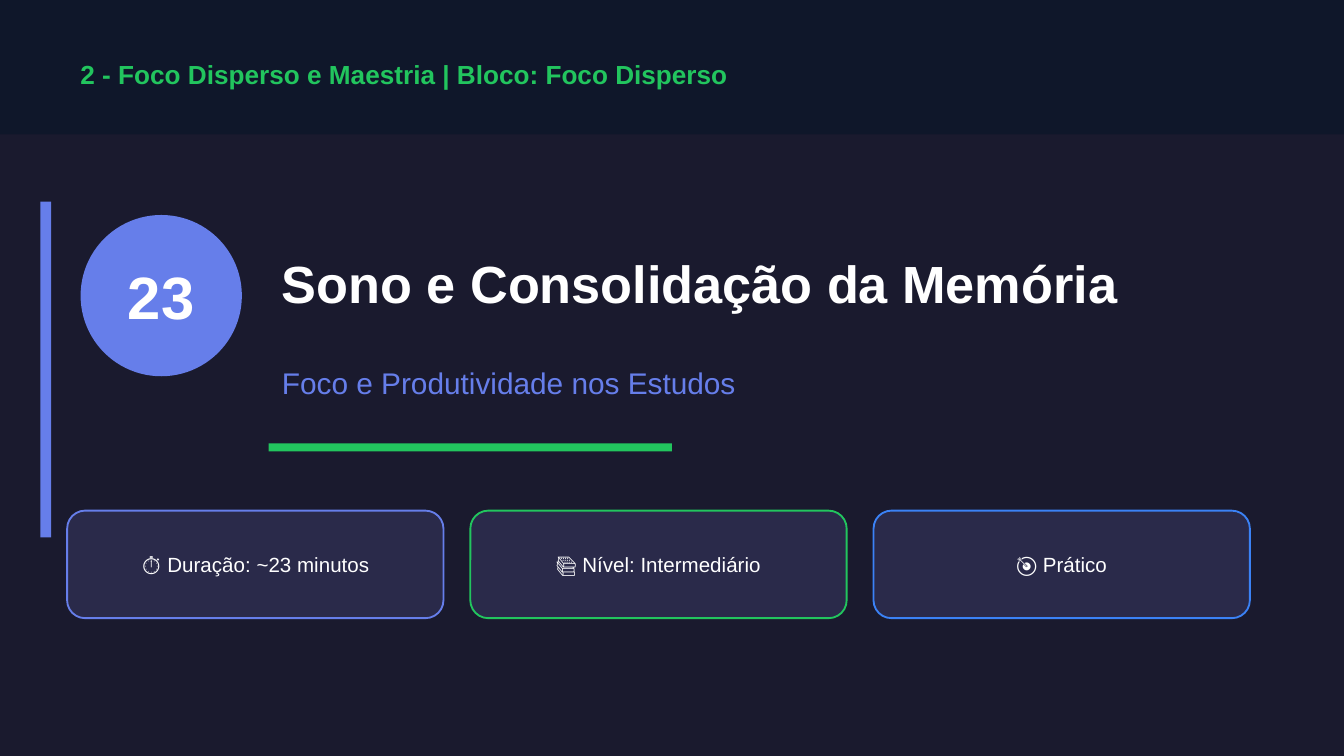
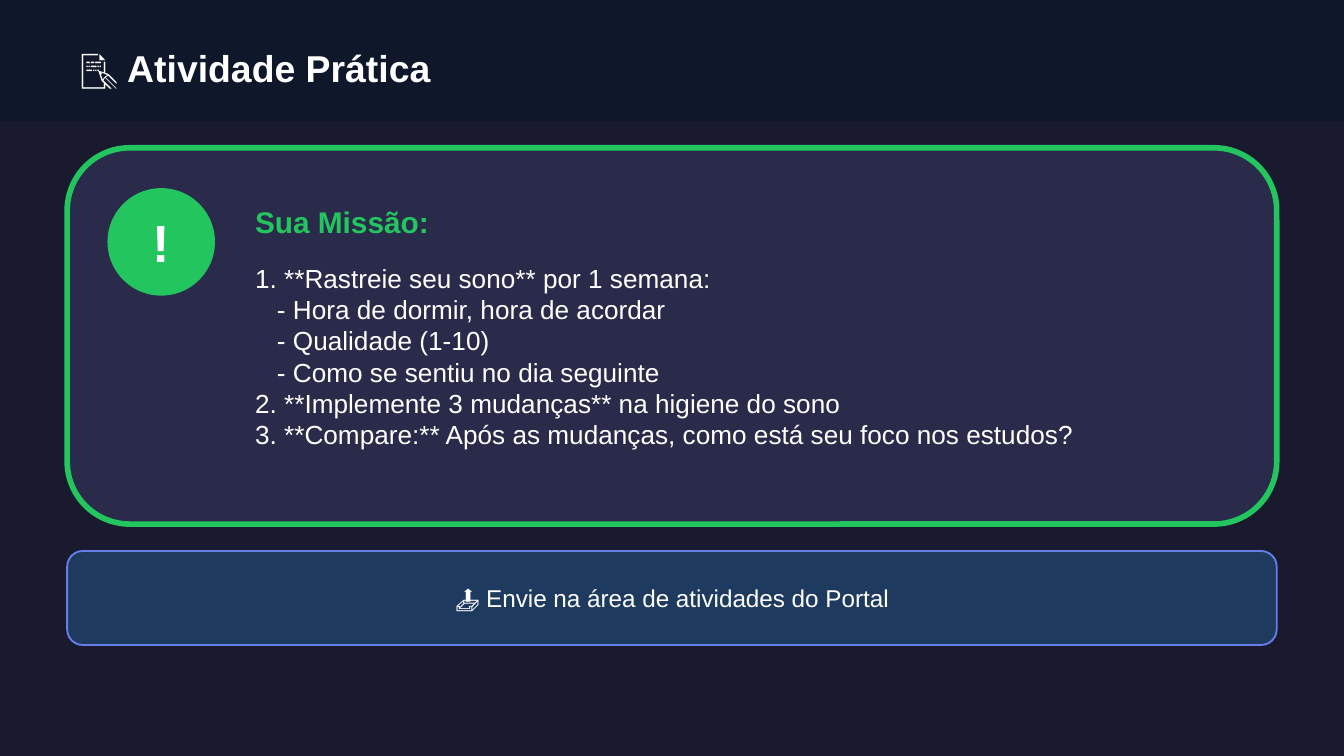
from pptx import Presentation
from pptx.dml.color import RGBColor
from pptx.enum.shapes import MSO_SHAPE
from pptx.enum.text import MSO_ANCHOR, PP_ALIGN
from pptx.util import Inches, Pt

RECT, ROUNDED, OVAL = MSO_SHAPE.RECTANGLE, MSO_SHAPE.ROUNDED_RECTANGLE, MSO_SHAPE.OVAL
LEFT, CENTER = PP_ALIGN.LEFT, PP_ALIGN.CENTER
TOP, MIDDLE = MSO_ANCHOR.TOP, MSO_ANCHOR.MIDDLE

BACKGROUND = RGBColor(0x1A, 0x1A, 0x2E)
BAND = RGBColor(0x0F, 0x17, 0x2A)
CARD = RGBColor(0x2A, 0x2A, 0x4A)
NAVY = RGBColor(0x1E, 0x3A, 0x5F)
INDIGO = RGBColor(0x66, 0x7E, 0xEA)
GREEN = RGBColor(0x22, 0xC5, 0x5E)
BLUE = RGBColor(0x3B, 0x82, 0xF6)
WHITE = RGBColor(0xFF, 0xFF, 0xFF)

FONT = "Arial"
COLUMNS, ROWS = 100, 56.25
CELL = Inches(0.1)
MARGIN = 5
CONTENT_WIDTH = COLUMNS - 2 * MARGIN
SUBITEM_INDENT = Pt(11.7)


def grid(*cells):
    """Turn counts of grid cells into lengths."""
    return [round(count * CELL) for count in cells]


def add_page(deck):
    page = deck.slides.add_slide(deck.slide_layouts[6])
    page.background.fill.solid()
    page.background.fill.fore_color.rgb = BACKGROUND
    return page


def add_block(page, kind, area, fill, border=None, border_width=1):
    shape = page.shapes.add_shape(kind, *grid(*area))
    shape.shadow.inherit = False
    shape.fill.solid()
    shape.fill.fore_color.rgb = fill
    if border is None:
        shape.line.fill.background()
    else:
        shape.line.color.rgb = border
        shape.line.width = Pt(border_width)


def add_text(page, area, lines, size, color=WHITE, bold=False, align=LEFT, anchor=MIDDLE):
    """Write one paragraph per line; lines that start with a dash are indented."""
    frame = page.shapes.add_textbox(*grid(*area)).text_frame
    frame.word_wrap = True
    frame.vertical_anchor = anchor
    for index, line in enumerate(lines):
        para = frame.paragraphs[0] if index == 0 else frame.add_paragraph()
        para.text = line
        para.alignment = align
        para.font.name = FONT
        para.font.size = Pt(size)
        para.font.bold = bold
        para.font.color.rgb = color
        if line.startswith("-"):
            para._p.get_or_add_pPr().set("marL", str(SUBITEM_INDENT))


def add_header(page, height, text_top, text_height, text, size, color):
    add_block(page, RECT, (0, 0, COLUMNS, height), BAND)
    add_text(page, (MARGIN, text_top, CONTENT_WIDTH, text_height), [text], size, color, bold=True)


def add_labelled_block(page, kind, area, label_height, label, size, fill, border=None, bold=False):
    """Draw a block with its label centred on it."""
    left, top, width, height = area
    add_block(page, kind, area, fill, border)
    label_top = top + (height - label_height) / 2
    add_text(page, (left, label_top, width, label_height), [label], size, bold=bold, align=CENTER)


def build_cover(deck):
    page = add_page(deck)
    add_header(page, 10, 3.5, 4, "2 - Foco Disperso e Maestria | Bloco: Foco Disperso", 14, GREEN)
    add_block(page, RECT, (3, 15, 0.8, 25), INDIGO)
    add_labelled_block(page, OVAL, (6, 16, 12, 12), 7, "23", 32, INDIGO, bold=True)
    add_text(page, (20, 16, 75, 10), ["Sono e Consolidação da Memória"], 28, bold=True)
    add_text(page, (20, 26, 75, 5), ["Foco e Produtividade nos Estudos"], 16, INDIGO)
    add_block(page, RECT, (20, 33, 30, 0.6), GREEN)

    facts = [
        ("⏱ Duração: ~23 minutos", INDIGO),
        ("📚 Nível: Intermediário", GREEN),
        ("🎯 Prático", BLUE),
    ]
    card_width, gap = 28, 2
    for index, (fact, border) in enumerate(facts):
        left = MARGIN + index * (card_width + gap)
        add_labelled_block(page, ROUNDED, (left, 38, card_width, 8), 5, fact, 11, CARD, border)


def build_activity(deck):
    page = add_page(deck)
    add_header(page, 9, 2.5, 5, "📝 Atividade Prática", 20, WHITE)
    add_block(page, ROUNDED, (MARGIN, 11, CONTENT_WIDTH, 28), CARD, GREEN, 3)
    add_labelled_block(page, OVAL, (8, 14, 8, 8), 6, "!", 28, GREEN, bold=True)
    add_text(page, (18, 14, 75, 5), ["Sua Missão:"], 16, GREEN, bold=True)
    steps = [
        "1. **Rastreie seu sono** por 1 semana:",
        "- Hora de dormir, hora de acordar",
        "- Qualidade (1-10)",
        "- Como se sentiu no dia seguinte",
        "2. **Implemente 3 mudanças** na higiene do sono",
        "3. **Compare:** Após as mudanças, como está seu foco nos estudos?",
    ]
    add_text(page, (18, 19, 74, 18), steps, 14, anchor=TOP)
    add_labelled_block(page, ROUNDED, (MARGIN, 41, CONTENT_WIDTH, 7), 4,
                       "📤 Envie na área de atividades do Portal", 13, NAVY, INDIGO)


def main():
    deck = Presentation()
    deck.slide_width, deck.slide_height = grid(COLUMNS, ROWS)
    build_cover(deck)
    build_activity(deck)
    deck.save("out.pptx")


if __name__ == "__main__":
    main()
